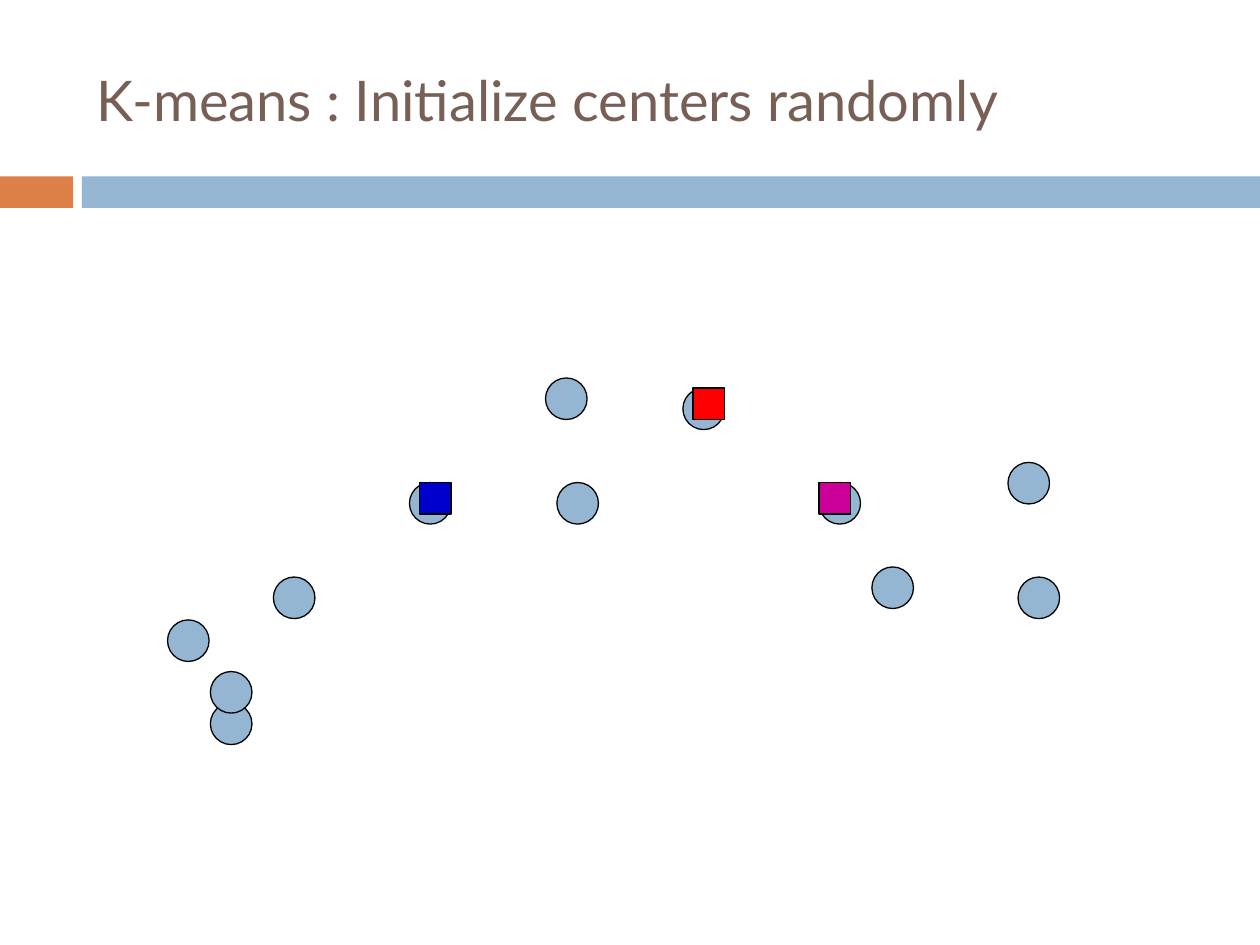
from pptx import Presentation
from pptx import util as u
from pptx.dml.color import RGBColor
from pptx.enum import shapes, text

ORANGE = RGBColor(0xDD, 0x80, 0x47)
SKY = RGBColor(0x94, 0xB6, 0xD2)
BROWN = RGBColor(0x77, 0x5F, 0x55)
BLACK = RGBColor(0, 0, 0)
BLUE = RGBColor(0, 0, 0xCC)
RED = RGBColor(0xFF, 0, 0)
PURPLE = RGBColor(0xCC, 0, 0x99)

RECT = shapes.MSO_SHAPE.RECTANGLE
OVAL = shapes.MSO_SHAPE.OVAL


def write(frame, words, font="Lato", size=32, color=BROWN):
    """Put one formatted run into a text frame."""
    run = frame.paragraphs[0].add_run()
    run.text = words
    run.font.name = font
    run.font.size = u.Pt(size)
    run.font.color.rgb = color


class Board:
    """Holds the current slide and its drawing style."""
    dot_size = 0.33
    mark_size = 0.25
    edge = 0.75

    def __init__(self, slide):
        self.slide = slide

    def shape(self, kind, box, fill, line=None):
        item = self.slide.shapes.add_shape(kind, *map(u.Inches, box))
        item.shadow.inherit = False
        item.fill.solid()
        item.fill.fore_color.rgb = fill
        if line is None:
            item.line.fill.background()
        else:
            item.line.color.rgb = line
            item.line.width = u.Pt(self.edge)

    def bar(self, left, width, fill):
        self.shape(RECT, (left, 1.4, width, 0.25), fill)

    def dot(self, x, y):
        self.shape(OVAL, (x, y, self.dot_size, self.dot_size), SKY, BLACK)

    def mark(self, x, y, fill):
        self.shape(RECT, (x, y, self.mark_size, self.mark_size), fill, BLACK)

    def title(self, words, box):
        frame = self.slide.shapes.add_textbox(*map(u.Inches, box)).text_frame
        frame.word_wrap = True
        frame.vertical_anchor = text.MSO_ANCHOR.MIDDLE
        write(frame, words)


def main():
    deck = Presentation()
    deck.slide_width, deck.slide_height = u.Inches(10), u.Inches(7.5)
    board = Board(deck.slides.add_slide(deck.slide_layouts[6]))

    # Header
    board.bar(0, 0.58, ORANGE)
    board.bar(0.65, 9.35, SKY)
    board.title("K-means : Initialize centers randomly",
                (0.67, 0.25, 8.92, 1.08))

    # Data points
    points = [(1.67, 5.58), (1.33, 4.92), (2.17, 4.58), (8, 3.67),
              (4.33, 3), (5.42, 3.08), (4.42, 3.83), (3.25, 3.83),
              (8.08, 4.58), (6.5, 3.83), (1.67, 5.33), (6.92, 4.5)]
    for x, y in points:
        board.dot(x, y)

    # Initial centers
    centers = [(3.33, 3.83, BLUE), (5.5, 3.08, RED), (6.5, 3.83, PURPLE)]
    for x, y, fill in centers:
        board.mark(x, y, fill)

    deck.save("out.pptx")


if __name__ == "__main__":
    main()
